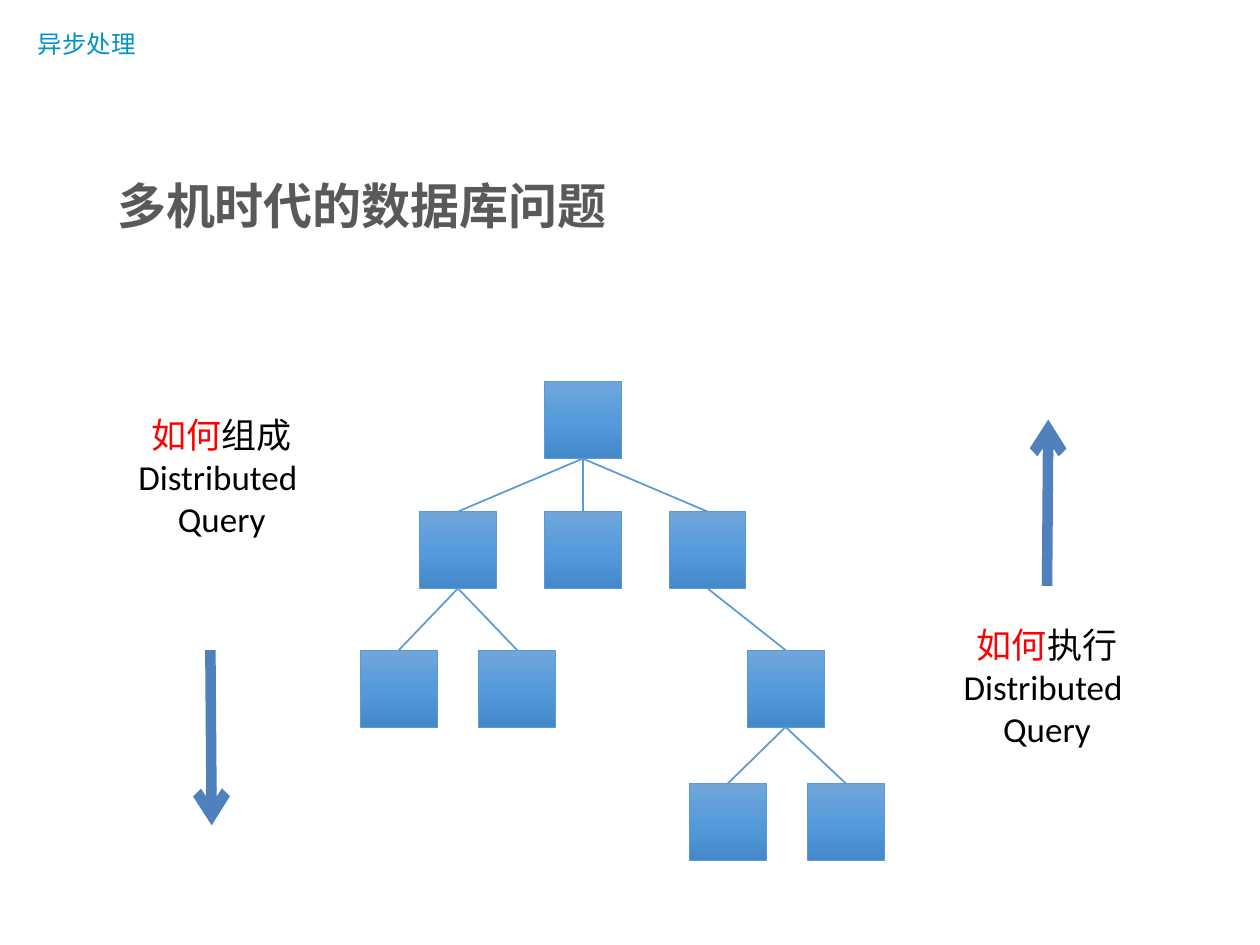
from copy import deepcopy

from lxml.etree import SubElement
from pptx import Presentation
from pptx.dml.color import RGBColor
from pptx.enum.shapes import MSO_CONNECTOR, MSO_SHAPE
from pptx.enum.text import MSO_ANCHOR, MSO_AUTO_SIZE, PP_ALIGN
from pptx.oxml.ns import qn
from pptx.util import Inches, Pt

COLORS = {
    "header": "0092CA",
    "title": "595959",
    "accent": "FF0000",
    "text": "000000",
    "node_line": "5B9BD5",
    "arrow": "4F81BD",
}
NODE_GRADIENT = ("71A6DB", "559BDB", "448ACA")
COLUMNS, ROWS = 100, 75
NODE_SIZE = 6.1

# name: (column, row, parent)
NODES = {
    "root": (43.2, 30.3, None),
    "left": (33.3, 40.6, "root"),
    "middle": (43.2, 40.6, "root"),
    "right": (53.1, 40.6, "root"),
    "left_first": (28.6, 51.6, "left"),
    "left_second": (38, 51.6, "left"),
    "right_only": (59.3, 51.6, "right"),
    "leaf_first": (54.7, 62.2, "right_only"),
    "leaf_second": (64.1, 62.2, "right_only"),
}


class SlideBuilder:
    """Places styled elements on a slide, in columns and rows of its grid."""

    def __init__(self, deck):
        self.cell_width = deck.slide_width / COLUMNS
        self.cell_height = deck.slide_height / ROWS
        self.slide = deck.slides.add_slide(deck.slide_layouts[5])

    def place(self, column, row):
        return round(column * self.cell_width), round(row * self.cell_height)

    def color(self, name):
        return RGBColor.from_string(COLORS[name])

    def format_span(self, span, size, color, font="Calibri", bold=False):
        span.font.size = Pt(size)
        span.font.name = font
        span.font.bold = bold
        span.font.color.rgb = self.color(color)

    def fit(self, box):
        frame = box.text_frame
        frame.word_wrap = False
        frame.auto_size = MSO_AUTO_SIZE.SHAPE_TO_FIT_TEXT
        frame.vertical_anchor = MSO_ANCHOR.TOP
        return frame

    def text_box(self, column, row, width, height):
        box = self.slide.shapes.add_textbox(
            *self.place(column, row), *self.place(width, height))
        return self.fit(box)

    def header(self, text):
        frame = self.text_box(2, 1.8, 9.9, 3.4)
        frame.text = text
        self.format_span(frame.paragraphs[0].runs[0], 14, "header", "Arial")

    def title(self, text):
        box = self.slide.shapes.title
        box.left, box.top = self.place(8.3, 13.4)
        box.width, box.height = self.place(41.5, 5.7)
        frame = self.fit(box)
        frame.text = text
        para = frame.paragraphs[0]
        para.alignment = PP_ALIGN.LEFT
        self.format_span(para.runs[0], 28, "title", bold=True)

    def question(self, column, row, verb):
        frame = self.text_box(column, row, 16.2, 11.1)
        lines = (
            (("如何", "accent"), (verb, "text")),
            (("Distributed ", "text"),),
            (("Query", "text"),),
        )
        for index, line in enumerate(lines):
            para = frame.add_paragraph() if index else frame.paragraphs[0]
            para.alignment = PP_ALIGN.CENTER
            for text, color in line:
                span = para.add_run()
                span.text = text
                self.format_span(span, 20, color)

    def node(self, column, row):
        box = self.slide.shapes.add_shape(
            MSO_SHAPE.FLOWCHART_PROCESS, *self.place(column, row),
            *self.place(NODE_SIZE, NODE_SIZE))
        box.shadow.inherit = False
        box.fill.gradient()
        box.fill.gradient_angle = 270
        stop_list = next(box._element.spPr.iter(qn("a:gsLst")))
        stop_list.append(deepcopy(stop_list[0]))
        for index, stop in enumerate(box.fill.gradient_stops):
            stop.position = index / 2
            stop.color.rgb = RGBColor.from_string(NODE_GRADIENT[index])
        box.line.color.rgb = self.color("node_line")
        box.line.width = Pt(0.5)
        return box

    def line(self, start, end, color, width):
        line = self.slide.shapes.add_connector(
            MSO_CONNECTOR.STRAIGHT, *self.place(*start), *self.place(*end))
        line.line.color.rgb = self.color(color)
        line.line.width = Pt(width)
        SubElement(line._element.spPr, qn("a:effectLst"))
        return line

    def branch(self, child, parent):
        line = self.line((0, 0), (0, 0), "node_line", 1)
        line.begin_connect(child, 0)
        line.end_connect(parent, 2)

    def arrow(self, start, end):
        line = self.line(start, end, "arrow", 6)
        SubElement(line.line._get_or_add_ln(), qn("a:tailEnd"), type="arrow")


def main():
    deck = Presentation()
    deck.slide_width, deck.slide_height = Inches(10), Inches(7.5)
    builder = SlideBuilder(deck)
    builder.header("异步处理")
    builder.title("多机时代的数据库问题")

    boxes = {name: builder.node(column, row)
             for name, (column, row, _) in NODES.items()}
    for name, (_, _, parent) in NODES.items():
        if parent:
            builder.branch(boxes[name], boxes[parent])

    builder.arrow((16.7, 51.6), (16.8, 65.5))
    builder.question(9.5, 32.3, "组成")
    builder.arrow((83.1, 46.5), (83.2, 33.3))
    builder.question(75, 49, "执行")
    deck.save("out.pptx")


if __name__ == "__main__":
    main()
